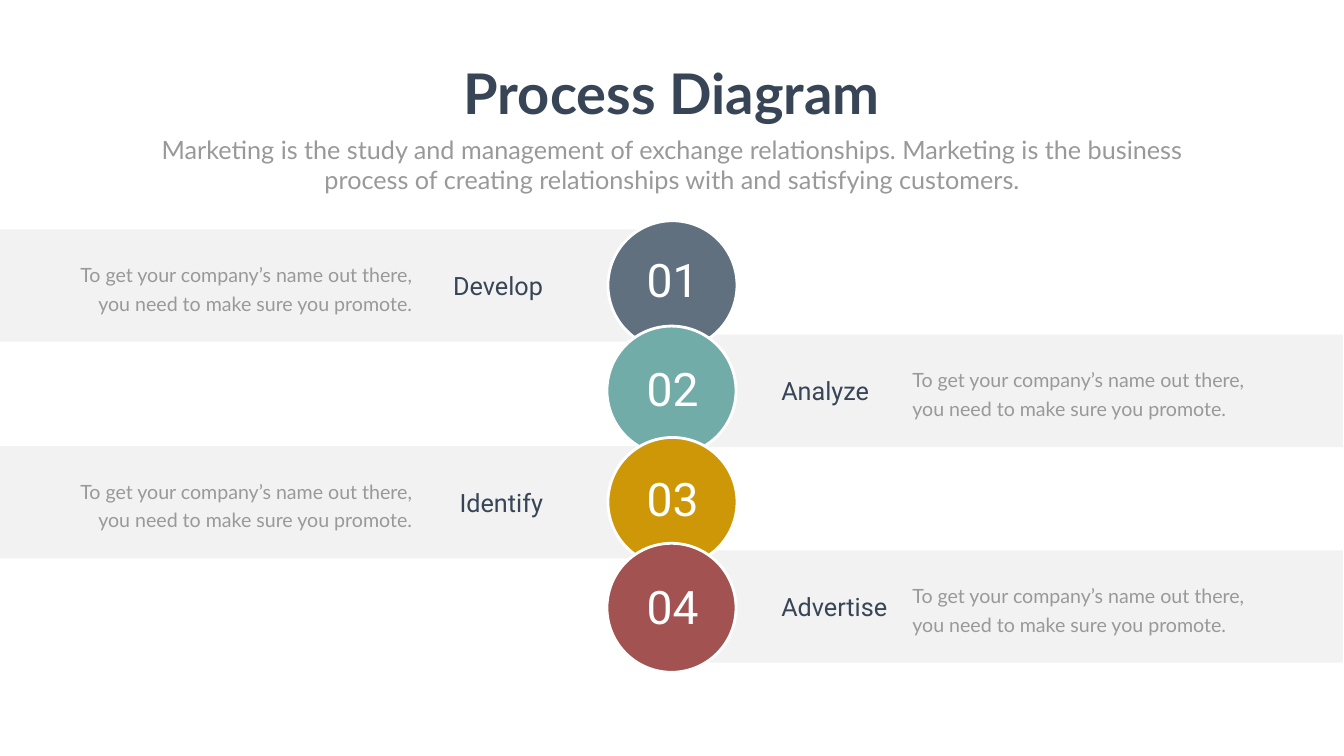
from lxml.etree import SubElement
from pptx import Presentation
from pptx.dml.color import RGBColor
from pptx.enum.shapes import MSO_SHAPE
from pptx.enum.text import MSO_ANCHOR, MSO_AUTO_SIZE, PP_ALIGN
from pptx.oxml.ns import qn
from pptx.util import Pt

SCALE = 9144
NAVY, GREY, WHITE = "374556", "999999", "FFFFFF"
LEFT, MID, RIGHT = PP_ALIGN.LEFT, PP_ALIGN.CENTER, PP_ALIGN.RIGHT
LEAD = ("Marketing is the study and management of exchange relationships. "
        "Marketing is the business process of creating relationships with "
        "and satisfying customers.")
BODY = "To get your company’s name out there, you need to make sure you promote."
STEPS = [
    ("01", "Develop", "61707F", 455, 438, 493),
    ("02", "Analyze", "72ACA9", 664, 647, 709),
    ("03", "Identify", "CD9708", 885, 868, 929),
    ("04", "Advertise", "A25250", 1092, 1078, 1142),
]
SIDES = [
    {"band": 0, "disc": 1206, "body": 119, "label": 867, "align": RIGHT},
    {"band": 1331, "disc": 1204, "body": 1800, "label": 1540, "align": LEFT},
]


def px(*nums):
    return [num * SCALE for num in nums]


def color(code):
    return RGBColor.from_string(code)


class Deck:
    """Holds the style and the current slide, and draws each kind of element."""

    def __init__(self, wide, high):
        self.prs = Presentation()
        self.prs.slide_width, self.prs.slide_height = px(wide, high)
        self.slide = self.prs.slides.add_slide(self.prs.slide_layouts[5])
        fill = self.slide.background.fill
        fill.solid()
        fill.fore_color.rgb = color("FEFFFE")

    def shape(self, kind, box, code):
        item = self.slide.shapes.add_shape(kind, *px(*box))
        item.shadow.inherit = False
        item.fill.solid()
        item.fill.fore_color.rgb = color(code)
        return item

    def band(self, box):
        item = self.shape(MSO_SHAPE.RECTANGLE, box, "808080")
        item.line.fill.background()
        tint = item.element.spPr.find(".//" + qn("a:srgbClr"))
        SubElement(tint, qn("a:alpha"), val="10000")

    def disc(self, box, code):
        item = self.shape(MSO_SHAPE.OVAL, box, code)
        item.line.color.rgb = color(WHITE)
        item.line.width = Pt(4)

    def style(self, item, text, size, font, code, align, bold=False, lead=None):
        frame = item.text_frame
        frame.word_wrap = True
        frame.auto_size = MSO_AUTO_SIZE.NONE
        frame.vertical_anchor = MSO_ANCHOR.TOP
        para = frame.paragraphs[0]
        para.alignment = align
        if lead:
            para.line_spacing = Pt(lead)
        run = para.add_run()
        run.text = text
        run.font.size, run.font.name, run.font.bold = Pt(size), font, bold
        run.font.color.rgb = color(code)

    def text(self, box, *look, **extra):
        self.style(self.slide.shapes.add_textbox(*px(*box)), *look, **extra)

    def title(self, box, *look, **extra):
        item = self.slide.shapes.title
        item.left, item.top, item.width, item.height = px(*box)
        self.style(item, *look, **extra)


def main():
    deck = Deck(2666, 1500)
    deck.title((901, 112, 863, 145), "Process Diagram", 80, "Lato", NAVY, MID,
               bold=True)
    deck.text((292, 261, 2082, 131), LEAD, 36, "Lato", GREY, MID)
    rows = [(step, SIDES[i % 2]) for i, step in enumerate(STEPS)]
    for (_, _, _, top, _, _), side in rows:
        deck.band((side["band"], top, 1333, 223))
    for (_, _, code, _, top, _), side in rows:
        deck.disc((side["disc"], top, 256, 256), code)
    for (num, name, _, top, _, mark), side in rows:
        deck.text((1255, mark, 158, 121), num, 66, "Roboto", WHITE, MID)
        deck.text((side["body"], top + 52, 708, 119), BODY, 28, "Lato", GREY,
                  side["align"], lead=40.8)
        wide = 256 if name == "Advertise" else 220
        deck.text((side["label"], top + 76, wide, 71), name, 36, "Roboto", NAVY,
                  side["align"])
    deck.prs.save("out.pptx")


if __name__ == "__main__":
    main()
